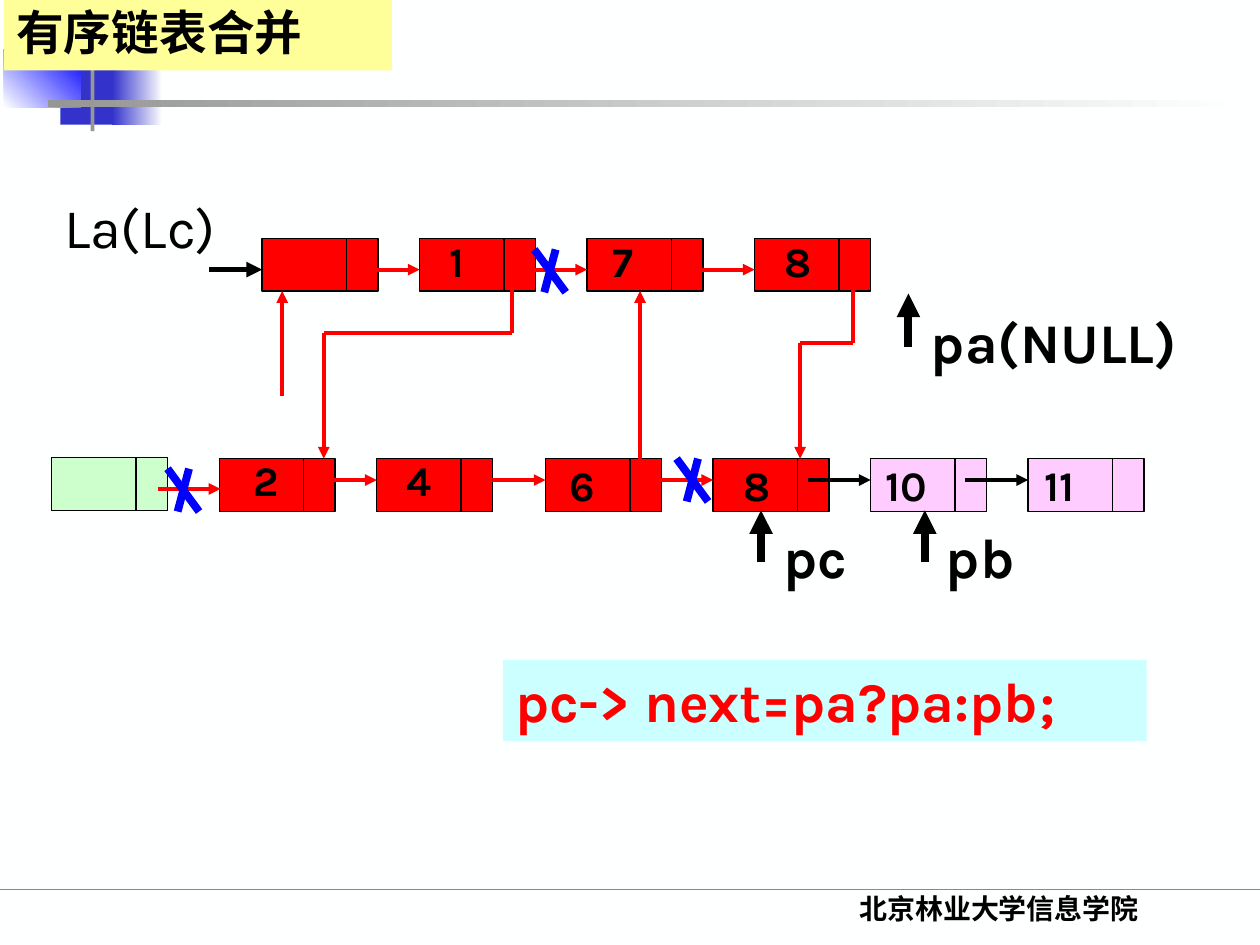
from dataclasses import dataclass

from lxml.etree import SubElement
from pptx import Presentation
from pptx.dml.color import RGBColor
from pptx.enum.shapes import MSO_CONNECTOR as Connector, MSO_SHAPE as Preset
from pptx.enum.text import MSO_ANCHOR as Anchor, MSO_AUTO_SIZE as AutoSize, PP_ALIGN as Align
from pptx.oxml.ns import qn
from pptx.util import Inches, Pt

BLACK, WHITE, RED, BLUE = "000000", "FEFFFF", "FF0000", "0000FF"
PINK, MINT, NAVY, GRAY = "FFCCFF", "CCFFCC", "3333CC", "969696"
LATIN, CHINESE = "Karla", "Noto Sans CJK SC"
DATA_WIDTH, POINTER_WIDTH, NODE_HEIGHT = 0.67, 0.25, 0.42
TOP_ROW, BOTTOM_ROW = 1.89, 3.64
TOP_LINK, BOTTOM_LINK = 2.14, 3.81


@dataclass
class Node:
    left: float
    top: float
    fill: str = RED
    value: str = ""
    value_left: float = 0
    value_top: float = 0


@dataclass
class Route:
    """A chain of straight lines through the points, with a head on the last."""
    points: list[tuple[float, float]]
    color: str = RED
    width: float = 2.25


@dataclass
class Label:
    text: str
    left: float
    top: float
    width: float
    height: float = 0.64
    size: float = 32
    bold: bool = True
    wrap: bool = False
    color: str = BLACK
    fill: str = ""


NODES = [
    Node(2.08, TOP_ROW),
    Node(3.33, TOP_ROW, RED, "1", 3.47, 1.82),
    Node(4.66, TOP_ROW, RED, "7", 4.76, 1.82),
    Node(5.99, TOP_ROW, RED, "8", 6.13, 1.82),
    Node(0.41, 3.63, MINT),
    Node(1.74, BOTTOM_ROW, RED, "2", 1.91, 3.56),
    Node(2.99, BOTTOM_ROW, RED, "4", 3.13, 3.56),
    Node(4.33, BOTTOM_ROW, RED, "6", 4.42, 3.6),
    Node(5.66, BOTTOM_ROW, RED, "8", 5.8, 3.6),
    Node(6.91, BOTTOM_ROW, PINK, "10", 6.93, 3.6),
    Node(8.16, BOTTOM_ROW, PINK, "11", 8.19, 3.6),
]
# Left end, height and colour of each half-inch link between neighbours
LINKS = [
    (2.83, TOP_LINK, RED), (4.16, TOP_LINK, RED), (5.49, TOP_LINK, RED),
    (1.25, 3.88, RED), (2.49, BOTTOM_LINK, RED), (3.83, BOTTOM_LINK, RED),
    (5.16, BOTTOM_LINK, RED), (6.41, BOTTOM_LINK, BLACK), (7.66, BOTTOM_LINK, BLACK),
]
ROUTES = [
    Route([(2.24, 3.14), (2.24, 2.31)]),
    Route([(4.06, TOP_LINK), (4.06, 2.64), (2.57, 2.64), (2.57, BOTTOM_ROW)]),
    Route([(5.08, BOTTOM_LINK), (5.08, 2.31)]),
    Route([(6.77, TOP_LINK), (6.77, 2.72), (6.35, 2.72), (6.35, BOTTOM_ROW)]),
    Route([(1.66, TOP_LINK), (2.08, TOP_LINK)], BLACK, 3),
    Route([(7.21, 2.75), (7.21, 2.33)], BLACK, 4.5),
    Route([(7.34, 4.46), (7.34, 4.05)], BLACK, 4.5),
    Route([(6.04, 4.46), (6.04, 4.05)], BLACK, 4.5),
]
CROSSES = [(4.24, 1.98), (5.37, 3.64), (1.33, 3.72)]
LABELS = [
    Label("La(Lc)", 0.41, 1.48, 1.48, bold=False, wrap=True),
    Label("pa(NULL)", 7.29, 2.39, 2.52, wrap=True),
    Label("pb", 7.41, 4.1, 0.76),
    Label("pc", 6.12, 4.1, 0.71),
    Label("pc-> next=pa?pa:pb;", 3.99, 5.24, 5.11, wrap=True, color=RED, fill="CCFFFF"),
]


def rgb(color: str) -> RGBColor:
    return RGBColor.from_string(color)


def add_rectangle(shapes, left: float, top: float, width: float, height: float,
                  fill: str, outline: str = ""):
    shape = shapes.add_shape(Preset.RECTANGLE, Inches(left), Inches(top),
                             Inches(width), Inches(height))
    shape.shadow.inherit = False
    shape.fill.solid()
    shape.fill.fore_color.rgb = rgb(fill)
    if outline:
        shape.line.color.rgb = rgb(outline)
        shape.line.width = Pt(0.75)
    else:
        shape.line.fill.background()
    return shape


def fade(shape, start: str, end: str, angle: float = 0) -> None:
    """Fill with a gradient; the angle runs counter-clockwise."""
    shape.fill.gradient()
    shape.fill.gradient_angle = angle
    for stop, color in zip(shape.fill.gradient_stops, (start, end)):
        stop.color.rgb = rgb(color)


def add_line(shapes, start: tuple[float, float], end: tuple[float, float],
             color: str, width: float, arrow: bool = False) -> None:
    line = shapes.add_connector(Connector.STRAIGHT, *map(Inches, start + end))
    line.line.color.rgb = rgb(color)
    line.line.width = Pt(width)
    if arrow:
        SubElement(line.line._get_or_add_ln(), qn("a:tailEnd"), type="triangle")
    SubElement(line._element.spPr, qn("a:effectLst"))


def write(para, text: str, size: float, font: str, color: str, bold: bool = True) -> None:
    span = para.add_run()
    span.text = text
    span.font.size = Pt(size)
    span.font.bold = bold
    span.font.color.rgb = rgb(color)
    span.font.name = font
    SubElement(span._r.get_or_add_rPr(), qn("a:ea"), typeface=CHINESE)


def add_label(shapes, label: Label) -> None:
    box = shapes.add_textbox(Inches(label.left), Inches(label.top),
                             Inches(label.width), Inches(label.height))
    if label.fill:
        box.fill.solid()
        box.fill.fore_color.rgb = rgb(label.fill)
    box.text_frame.word_wrap = label.wrap
    box.text_frame.auto_size = AutoSize.SHAPE_TO_FIT_TEXT
    write(box.text_frame.paragraphs[0], label.text, label.size, LATIN, label.color, label.bold)


def add_node(shapes, node: Node) -> None:
    cells = shapes.add_group_shape().shapes
    add_rectangle(cells, node.left, node.top, DATA_WIDTH, NODE_HEIGHT, node.fill, BLACK)
    add_rectangle(cells, node.left + DATA_WIDTH, node.top, POINTER_WIDTH, NODE_HEIGHT,
                  node.fill, BLACK)


def add_route(shapes, route: Route) -> None:
    last = len(route.points) - 2
    for index, (start, end) in enumerate(zip(route.points, route.points[1:])):
        add_line(shapes, start, end, route.color, route.width, arrow=index == last)


def add_cross(shapes, left: float, top: float) -> None:
    strokes = shapes.add_group_shape().shapes
    for start, end in ((0.17, 0.08), (0, 0.25)):
        add_line(strokes, (left + start, top), (left + end, top + 0.34), BLUE, 4.5)


def add_decoration(shapes) -> None:
    add_line(shapes, (0, 7.06), (10, 7.06), "00CC99", 0.75)
    add_rectangle(shapes, 0.48, 0.47, 0.46, 0.52, NAVY)
    fade(add_rectangle(shapes, 0.89, 0.47, 0.4, 0.52, NAVY), NAVY, WHITE)
    fade(add_rectangle(shapes, 0.03, 0.39, 0.61, 0.46, BLUE), WHITE, BLUE, 45)
    add_rectangle(shapes, 0.72, -0.11, 0.03, 1.15, GRAY)
    fade(add_rectangle(shapes, 0.38, 0.79, 9.51, 0.06, GRAY), GRAY, WHITE)


def add_footer(shapes) -> None:
    box = shapes.add_textbox(Inches(5.86), Inches(7.03), Inches(4.14), Inches(0.5))
    box.text_frame.word_wrap = True
    para = box.text_frame.paragraphs[0]
    para.alignment = Align.CENTER
    write(para, "北京林业大学信息学院", 16, "Times New Roman", BLACK)


def set_title(shapes) -> None:
    """Format the title and bring it in front of the decoration."""
    title = shapes.title
    title.left, title.top, title.width, title.height = map(Inches, (0.03, 0, 3.08, 0.56))
    title.fill.solid()
    title.fill.fore_color.rgb = rgb("FFFF99")
    title.text_frame.auto_size = AutoSize.NONE
    title.text_frame.vertical_anchor = Anchor.MIDDLE
    para = title.text_frame.paragraphs[0]
    para.alignment = Align.LEFT
    para.line_spacing = 0.9
    write(para, "有序链表合并", 27.2, CHINESE, BLACK)
    shapes._spTree.append(title._element)


def main() -> None:
    deck = Presentation()
    deck.slide_width, deck.slide_height = Inches(10), Inches(7.5)
    page = deck.slides.add_slide(deck.slide_layouts[5])
    page.background.fill.solid()
    page.background.fill.fore_color.rgb = rgb(WHITE)
    shapes = page.shapes
    add_decoration(shapes)
    add_footer(shapes)
    set_title(shapes)
    for node in NODES:
        add_node(shapes, node)
    for left, height, color in LINKS:
        add_line(shapes, (left, height), (left + 0.5, height), color, 2.25, arrow=True)
    for route in ROUTES:
        add_route(shapes, route)
    for node in filter(lambda item: item.value, NODES):
        width = 0.2 + 0.19 * len(node.value)
        add_label(shapes, Label(node.value, node.value_left, node.value_top, width, 0.5, 24))
    for left, top in CROSSES:
        add_cross(shapes, left, top)
    for label in LABELS:
        add_label(shapes, label)
    deck.save("out.pptx")


if __name__ == "__main__":
    main()
